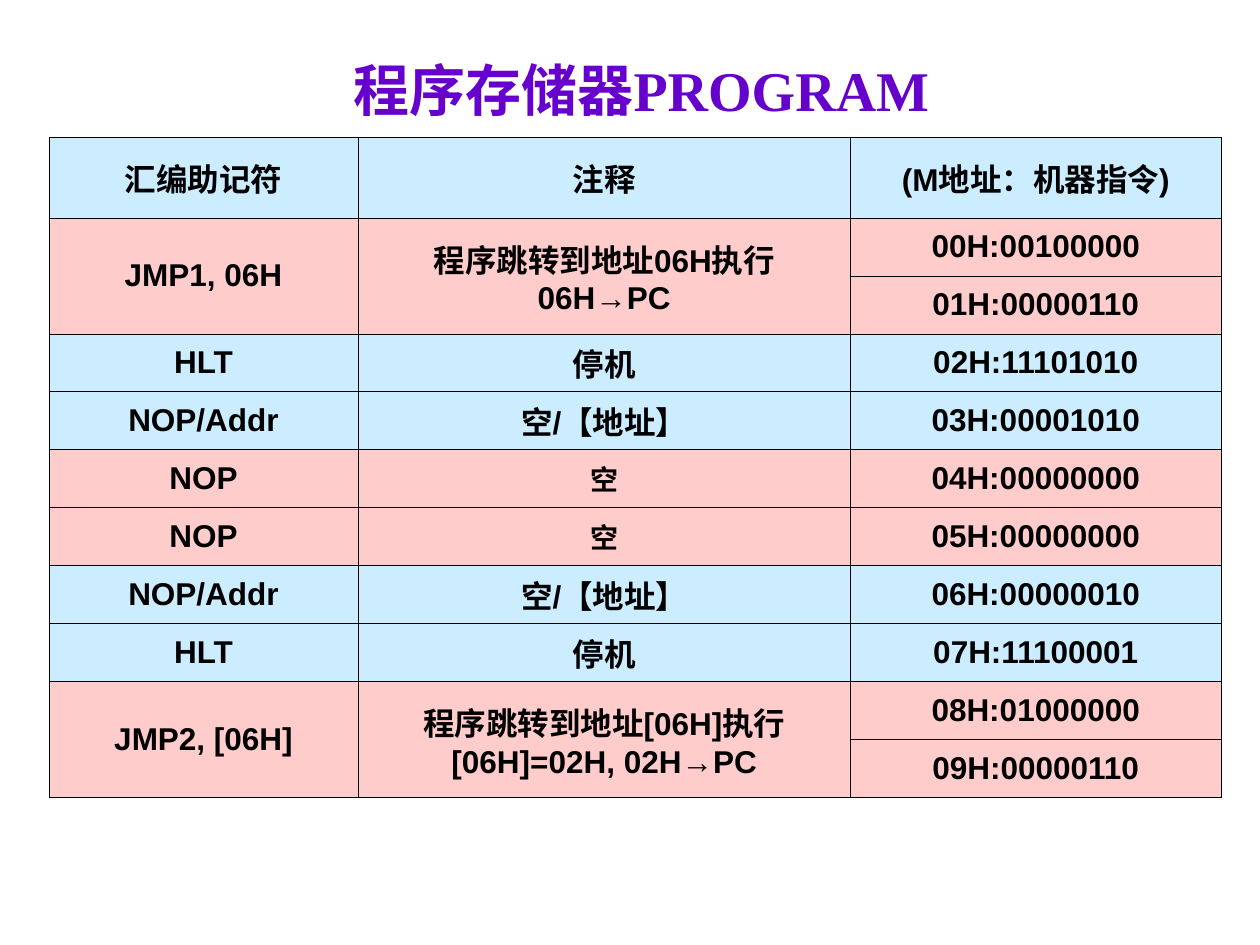
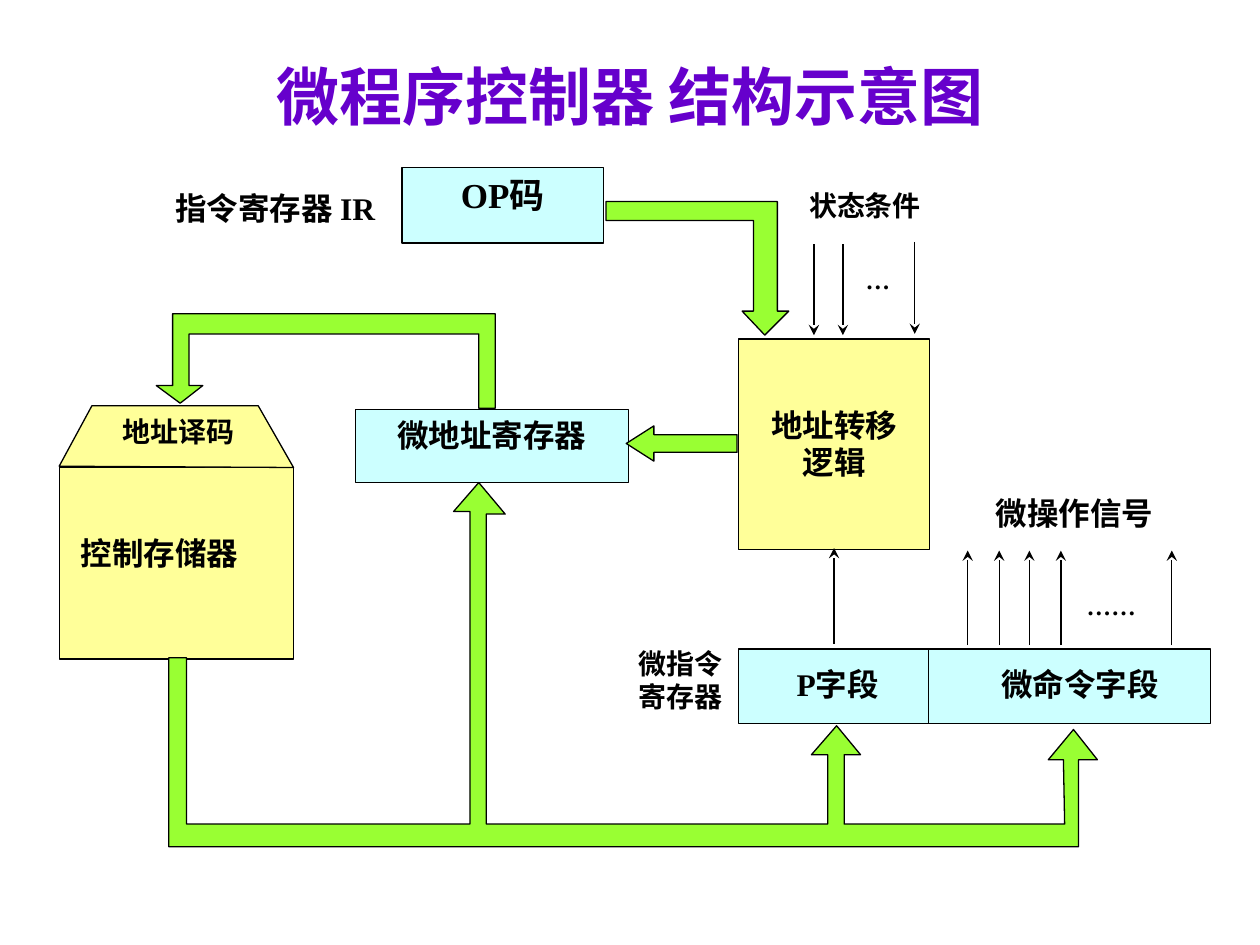
import pptx
import pptx.util
import pptx.dml.color
import pptx.enum.shapes
import pptx.enum.text
import pptx.oxml
import pptx.oxml.ns
from lxml import etree

Inches = pptx.util.Inches
Pt = pptx.util.Pt
RGBColor = pptx.dml.color.RGBColor
ALIGN = pptx.enum.text.PP_ALIGN
ANCHOR = pptx.enum.text.MSO_ANCHOR
SHAPE = pptx.enum.shapes.MSO_SHAPE
qn = pptx.oxml.ns.qn

BLACK = RGBColor(0x00, 0x00, 0x00)
PURPLE = RGBColor(0x66, 0x00, 0xCC)
BLUE = RGBColor(0xCC, 0xEC, 0xFF)
PINK = RGBColor(0xFF, 0xCC, 0xCC)
CYAN = RGBColor(0xCC, 0xFF, 0xFF)
YELLOW = RGBColor(0xFF, 0xFF, 0x99)
GREEN = RGBColor(0x99, 0xFF, 0x33)
SERIF = "Times New Roman"
SANS = "Arial"


def write_text(frame, text, size, font=SERIF, color=BLACK, align=ALIGN.CENTER):
    frame.text = text
    frame.word_wrap = True
    for paragraph in frame.paragraphs:
        paragraph.alignment = align
        for run in paragraph.runs:
            run.font.size = Pt(size)
            run.font.name = font
            run.font.bold = True
            run.font.color.rgb = color


def paint(shape, color):
    shape.shadow.inherit = False
    shape.fill.solid()
    shape.fill.fore_color.rgb = color
    shape.line.color.rgb = BLACK
    shape.line.width = Pt(0.75)


deck = pptx.Presentation()
deck.slide_width = Inches(10)
deck.slide_height = Inches(7.5)

# Slides and their titles
slides = []
for title, size, left, top, width in [
    ("程序存储器PROGRAM", 32, 0.44, 0.31, 9.3),
    ("微程序控制器 结构示意图", 36, 0.75, 0.36, 8.5),
]:
    slide = deck.slides.add_slide(deck.slide_layouts[6])
    heading = slide.shapes.add_textbox(Inches(left), Inches(top), Inches(width), Inches(0.8))
    write_text(heading.text_frame, title, size, color=PURPLE)
    heading.text_frame.vertical_anchor = ANCHOR.MIDDLE
    slides.append(slide)
program_slide, controller_slide = slides

# Program memory: mnemonic, comment, machine code, row colour
program = [
    ("汇编助记符", "注释", "(M地址：机器指令)", BLUE),
    ("JMP1, 06H", "程序跳转到地址06H执行\n06H→PC", "00H:00100000", PINK),
    ("", "", "01H:00000110", PINK),
    ("HLT", "停机", "02H:11101010", BLUE),
    ("NOP/Addr", "空/【地址】", "03H:00001010", BLUE),
    ("NOP", "空", "04H:00000000", PINK),
    ("NOP", "空", "05H:00000000", PINK),
    ("NOP/Addr", "空/【地址】", "06H:00000010", BLUE),
    ("HLT", "停机", "07H:11100001", BLUE),
    ("JMP2, [06H]", "程序跳转到地址[06H]执行\n[06H]=02H, 02H→PC", "08H:01000000", PINK),
    ("", "", "09H:00000110", PINK),
]
memory = program_slide.shapes.add_table(
    len(program), 3, Inches(0.39), Inches(1.09), Inches(9.3), Inches(5.25)).table
for column, width in zip(memory.columns, (2.45, 3.91, 2.94)):
    column.width = Inches(width)
for row_index, (*texts, color) in enumerate(program):
    memory.rows[row_index].height = Inches(0.46 if row_index else 0.64)
    for column_index, text in enumerate(texts):
        cell = memory.cell(row_index, column_index)
        if text:
            write_text(cell.text_frame, text, 16 if text == "空" else 18, SANS)
        cell.vertical_anchor = ANCHOR.MIDDLE
        properties = cell._tc.get_or_add_tcPr()
        for side in ("a:lnL", "a:lnR", "a:lnT", "a:lnB"):
            border = etree.SubElement(properties, qn(side), w=str(Pt(0.45)))
            ink = etree.SubElement(border, qn("a:solidFill"))
            etree.SubElement(ink, qn("a:srgbClr"), val=str(BLACK))
        cell.fill.solid()
        cell.fill.fore_color.rgb = color

# Two-word jump instructions span two rows
for row_index in (1, 9):
    for column_index in (0, 1):
        memory.cell(row_index, column_index).merge(memory.cell(row_index + 1, column_index))

# Registers, transfer logic and control memory
shapes = controller_slide.shapes
for left, top, width, height, color, text, size, inset in [
    (5.86, 5.15, 3.75, 0.59, CYAN, "", 18, 0.05),
    (5.86, 2.69, 1.52, 1.67, YELLOW, "地址转移\n逻辑", 18, 0.53),
    (3.19, 1.33, 1.6, 0.6, CYAN, "OP码", 20, 0.05),
    (2.82, 3.25, 2.17, 0.58, CYAN, "微地址寄存器", 18, 0.05),
    (0.47, 3.71, 1.86, 1.52, YELLOW, "", 18, 0.05),
]:
    block = shapes.add_shape(
        SHAPE.RECTANGLE, Inches(left), Inches(top), Inches(width), Inches(height))
    paint(block, color)
    if text:
        write_text(block.text_frame, text, size)
        block.text_frame.vertical_anchor = ANCHOR.TOP
        block.text_frame.margin_top = Inches(inset)

# Arrow from the transfer logic to the micro-address register
next_address = shapes.add_shape(
    SHAPE.LEFT_ARROW, Inches(4.97), Inches(3.38), Inches(0.88), Inches(0.28))
next_address.adjustments[0] = 0.5
next_address.adjustments[1] = 0.784
paint(next_address, GREEN)

# Address decoder and the bent bus arrows
decoder = [(0.73, 3.22), (2.05, 3.22), (2.33, 3.71), (0.47, 3.7)]
opcode_bus = [
    (6.07, 2.66), (5.89, 2.47), (5.98, 2.47), (5.98, 1.75), (4.81, 1.75),
    (4.81, 1.6), (6.17, 1.6), (6.17, 2.47), (6.26, 2.47),
]
address_bus = [
    (3.8, 3.24), (3.8, 2.65), (1.5, 2.65), (1.5, 3.06), (1.61, 3.06), (1.43, 3.2),
    (1.24, 3.06), (1.37, 3.06), (1.37, 2.49), (3.93, 2.49), (3.93, 3.24),
]
microcode_bus = [
    (1.48, 5.22), (1.48, 6.54),
    (3.73, 6.54), (3.73, 4.06), (3.6, 4.06), (3.8, 3.83), (4.01, 4.08), (3.86, 4.08), (3.86, 6.54),
    (6.57, 6.54), (6.57, 5.99), (6.44, 5.99), (6.64, 5.76), (6.83, 5.99), (6.7, 5.99), (6.7, 6.54),
    (8.45, 6.54), (8.44, 6.03), (8.32, 6.03), (8.52, 5.79), (8.71, 6.03), (8.56, 6.03),
    (8.56, 6.72), (1.34, 6.72), (1.34, 5.22),
]
for outline, color in [
    (decoder, YELLOW), (opcode_bus, GREEN), (address_bus, GREEN), (microcode_bus, GREEN),
]:
    corners = [(Inches(x), Inches(y)) for x, y in outline]
    builder = shapes.build_freeform(*corners[0], scale=1.0)
    builder.add_line_segments(corners[1:], close=True)
    paint(builder.convert_to_shape(), color)

# Field divider and signal lines: x, start y, end y, arrowhead
signals = [(7.37, 5.16, 5.74, False), (6.62, 5.11, 4.35, True)]
signals += [(x, 5.12, 4.37, True) for x in (7.68, 7.93, 8.17, 8.42, 9.3)]
signals += [(6.46, 1.94, 2.66, True), (6.69, 1.94, 2.66, True), (7.26, 1.92, 2.65, True)]
for x, start, end, has_head in signals:
    signal = shapes.add_connector(
        pptx.enum.shapes.MSO_CONNECTOR.STRAIGHT, Inches(x), Inches(start), Inches(x), Inches(end))
    signal.line.color.rgb = BLACK
    signal.line.width = Pt(0.75)
    if has_head:
        etree.SubElement(signal.line._get_or_add_ln(), qn("a:tailEnd"), type="stealth")
    etree.SubElement(signal._element.spPr, qn("a:effectLst"))

# Labels
for text, left, top, width, height, size, align in [
    ("地址译码", 0.76, 3.29, 1.31, 0.39, 16, ALIGN.CENTER),
    ("控制存储器", 0.64, 4.24, 1.47, 0.47, 18, ALIGN.LEFT),
    ("P字段", 6.02, 5.28, 1.26, 0.41, 18, ALIGN.CENTER),
    ("微命令字段", 7.77, 5.28, 1.6, 0.41, 18, ALIGN.CENTER),
    ("……", 8.47, 4.69, 0.7, 0.41, 14, ALIGN.CENTER),
    ("微操作信号", 7.5, 3.92, 2.06, 0.39, 18, ALIGN.CENTER),
    ("指令寄存器 IR", 1.17, 1.5, 2.03, 0.41, 18, ALIGN.CENTER),
    ("…", 6.87, 2.1, 0.34, 0.41, 14, ALIGN.LEFT),
    ("状态条件", 6.27, 1.5, 1.19, 0.37, 16, ALIGN.CENTER),
    ("微指令\n寄存器", 4.78, 5.13, 0.95, 0.58, 16, ALIGN.RIGHT),
]:
    label = shapes.add_textbox(Inches(left), Inches(top), Inches(width), Inches(height)).text_frame
    label.margin_left = label.margin_right = label.margin_top = label.margin_bottom = 0
    write_text(label, text, size, align=align)

deck.save("out.pptx")
